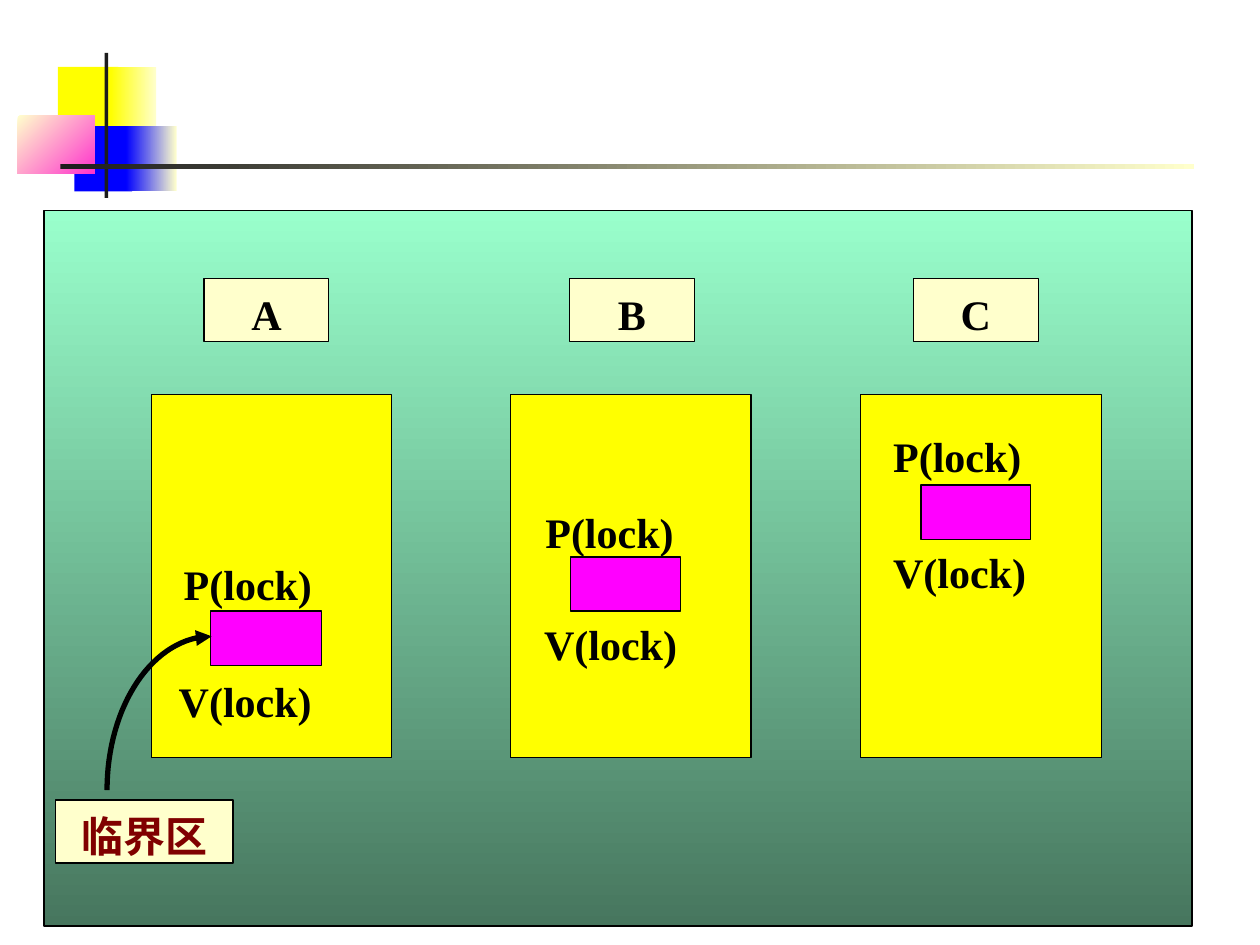
from dataclasses import dataclass
from math import cos, pi, sin
from typing import NamedTuple

from lxml.etree import SubElement
from pptx import Presentation
from pptx.dml.color import RGBColor
from pptx.enum.shapes import MSO_SHAPE as Preset
from pptx.enum.text import MSO_ANCHOR as Anchor, PP_ALIGN as Align
from pptx.oxml.ns import qn
from pptx.util import Emu, Inches, Pt

COLUMNS, ROWS = 100, 75


@dataclass(frozen=True)
class Theme:
    font: str = "Times New Roman"
    size: float = 24
    outline: float = 0.75
    arrow: float = 3
    ink: str = "000000"
    accent: str = "800000"
    cream: str = "FFFFCC"
    yellow: str = "FFFF00"
    blue: str = "0000FF"
    pink: str = "FF33CC"
    charcoal: str = "1C1C1C"
    magenta: str = "FF00FF"
    mint: str = "99FFCC"
    forest: str = "47765E"


class Area(NamedTuple):
    column: float
    row: float
    width: float
    height: float


class Ornament(NamedTuple):
    area: Area
    start: str
    end: str | None = None
    angle: float = 0


@dataclass(frozen=True)
class Process:
    name: str
    body: float
    label: float
    section: Area
    enter: Area
    leave: Area


THEME = Theme()
ORNAMENTS = [
    Ornament(Area(4.6, 5.3, 4.8, 5.2), THEME.yellow),
    Ornament(Area(8.8, 5.3, 3.6, 5.2), THEME.yellow, THEME.cream),
    Ornament(Area(5.9, 10, 4.6, 5.2), THEME.blue),
    Ornament(Area(10, 10, 4, 5.2), THEME.blue, THEME.cream),
    Ornament(Area(1.4, 9.2, 6.1, 4.6), THEME.cream, THEME.pink, 45),
    Ornament(Area(8.3, 4.2, 0.3, 11.5), THEME.charcoal),
    Ornament(Area(4.8, 13, 90, 0.4), THEME.charcoal, THEME.cream),
]
PROCESSES = [
    Process("A", 12, 16.2, Area(16.7, 48.5, 8.8, 4.3),
            Area(13.6, 43.5, 16.2, 5), Area(13.2, 52.8, 15.7, 5)),
    Process("B", 40.5, 45.2, Area(45.3, 44.2, 8.7, 4.3),
            Area(42.3, 39.4, 16.8, 5), Area(42.2, 48.3, 16.5, 5)),
    Process("C", 68.3, 72.5, Area(73.1, 38.5, 8.7, 4.3),
            Area(69.9, 33.4, 16.8, 5), Area(69.9, 42.6, 16.9, 5)),
]


def color(code: str) -> RGBColor:
    return RGBColor.from_string(code)


def place(deck, area: Area) -> list[Emu]:
    cell_width, cell_height = deck.slide_width / COLUMNS, deck.slide_height / ROWS
    return [Emu(round(length * cell)) for length, cell in
            zip(area, (cell_width, cell_height) * 2)]


def add_box(deck, page, area: Area, start: str, end: str | None = None,
            angle: float = 0, outlined: bool = True):
    box = page.shapes.add_shape(Preset.RECTANGLE, *place(deck, area))
    box.shadow.inherit = False
    if end:
        box.fill.gradient()
        box.fill.gradient_angle = (360 - angle) % 360
        for stop, code in zip(box.fill.gradient_stops, (start, end)):
            stop.color.rgb = color(code)
    else:
        box.fill.solid()
        box.fill.fore_color.rgb = color(start)
    if outlined:
        box.line.color.rgb = color(THEME.ink)
        box.line.width = Pt(THEME.outline)
    else:
        box.line.fill.background()
    return box


def write(box, text: str, *, ink: str = THEME.ink, align=Align.LEFT) -> None:
    frame = box.text_frame
    frame.word_wrap = True
    frame.vertical_anchor = Anchor.TOP
    frame.margin_left = frame.margin_right = Inches(0.1)
    frame.margin_top, frame.margin_bottom = Inches(0.08), Inches(0.02)
    para = frame.paragraphs[0]
    para.alignment = align
    span = para.add_run()
    span.text = text
    span.font.name = THEME.font
    span.font.size = Pt(THEME.size)
    span.font.bold = True
    span.font.color.rgb = color(ink)


def add_label(deck, page, area: Area, text: str, ink: str = THEME.ink) -> None:
    write(add_box(deck, page, area, THEME.cream), text, ink=ink, align=Align.CENTER)


def add_process(deck, page, process: Process) -> None:
    add_box(deck, page, Area(process.body, 31.3, 19.1, 28.8), THEME.yellow)
    add_box(deck, page, process.section, THEME.magenta)
    add_label(deck, page, Area(process.label, 22.1, 9.9, 5), process.name)
    for area, text in ((process.enter, "P(lock)"), (process.leave, "V(lock)")):
        write(page.shapes.add_textbox(*place(deck, area)), text)


def add_curved_arrow(deck, page, area: Area, steps: int = 32) -> None:
    left, top, width, height = place(deck, area)
    turns = [pi / 2 * step / steps for step in range(steps + 1)]
    points = [(round(left + width * (1 - sin(turn))),
               round(top + height * (1 - cos(turn)))) for turn in turns]
    builder = page.shapes.build_freeform(left + width, top)
    builder.add_line_segments(points[1:], close=False)
    curve = builder.convert_to_shape()
    curve.shadow.inherit = False
    curve.fill.background()
    curve.line.color.rgb = color(THEME.ink)
    curve.line.width = Pt(THEME.arrow)
    SubElement(curve.line._get_or_add_ln(), qn("a:headEnd"), type="triangle")


def main() -> None:
    deck = Presentation()
    deck.slide_width, deck.slide_height = Inches(10), Inches(7.5)
    page = deck.slides.add_slide(deck.slide_layouts.get_by_name("Blank"))
    for ornament in ORNAMENTS:
        add_box(deck, page, *ornament, outlined=False)
    add_box(deck, page, Area(3.5, 16.7, 91.1, 56.8), THEME.mint, THEME.forest, 90)
    for process in PROCESSES:
        add_process(deck, page, process)
    add_label(deck, page, Area(4.4, 63.5, 14.1, 5), "临界区", THEME.accent)
    add_curved_arrow(deck, page, Area(8.5, 50.5, 8.3, 12.2))
    deck.save("out.pptx")


if __name__ == "__main__":
    main()
